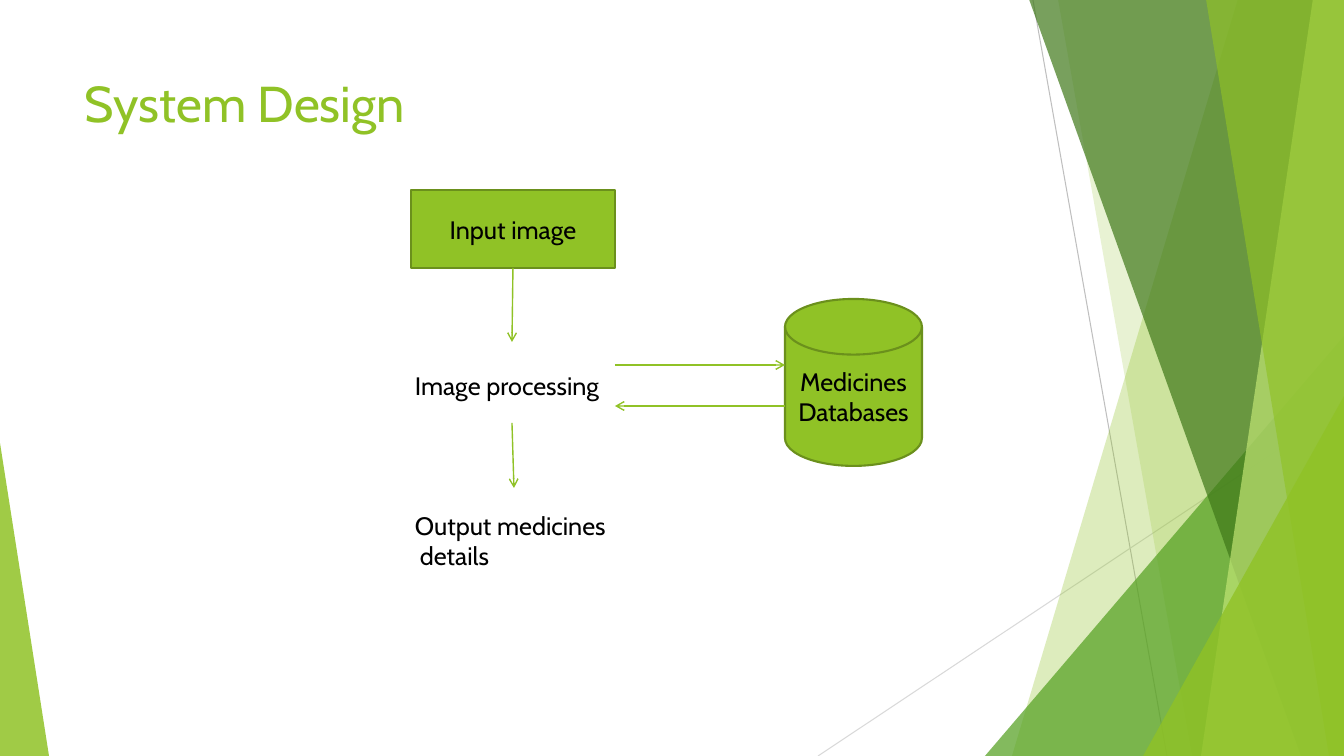
from pptx import Presentation
from pptx.dml.color import RGBColor
from pptx.enum.shapes import MSO_CONNECTOR, MSO_SHAPE
from pptx.enum.text import MSO_ANCHOR, PP_ALIGN
from pptx.oxml.ns import qn
from pptx.util import Pt
from lxml.etree import SubElement

EMU_PER_PX = 914400 / 100.8
WIDTH, HEIGHT = 1344, 756
FONT = "Cabin"
COLORS = {
    "lime": "90C226",
    "olive": "6B901C",
    "green": "54A021",
    "forest": "3F7819",
    "pale": "C0E474",
    "gray": "BFBFBF",
    "silver": "D9D9D9",
    "black": "000000",
}


def px(n):
    return round(n * EMU_PER_PX)


def rgb(name):
    return RGBColor.from_string(COLORS[name])


class Deck:
    def __init__(self):
        self.prs = Presentation()
        self.prs.slide_width, self.prs.slide_height = px(WIDTH), px(HEIGHT)
        self.s = self.prs.slides.add_slide(self.prs.slide_layouts[6])

    def fill(self, sp, color, alpha=100):
        """Fill a shape, with alpha as percent opacity."""
        sp.shadow.inherit = False
        sp.fill.solid()
        sp.fill.fore_color.rgb = rgb(color)
        if alpha < 100:
            clr = sp._element.spPr.find(qn("a:solidFill"))[0]
            SubElement(clr, qn("a:alpha"), val=str(alpha * 1000))

    def band(self, top_left, top_right, bottom_right, bottom_left, color, alpha):
        """Translucent strip from the top edge to the bottom edge."""
        top = -1
        fb = self.s.shapes.build_freeform(top_left, top, scale=EMU_PER_PX)
        fb.add_line_segments([(top_right, top), (bottom_right, HEIGHT), (bottom_left, HEIGHT)])
        sp = fb.convert_to_shape()
        self.fill(sp, color, alpha)
        sp.line.fill.background()

    def wedge(self, x, y, w, apex, color, alpha):
        """Translucent triangle standing on the bottom edge."""
        sp = self.s.shapes.add_shape(
            MSO_SHAPE.ISOSCELES_TRIANGLE, px(x), px(y), px(w), px(HEIGHT - y))
        sp.adjustments[0] = apex
        self.fill(sp, color, alpha)
        sp.line.fill.background()

    def add_lines(self, tf, lines, size, color, align, indents=()):
        """Put each line in its own paragraph, with optional left indents."""
        tf.word_wrap = True
        for i, line in enumerate(lines):
            p = tf.paragraphs[0] if i == 0 else tf.add_paragraph()
            p.alignment = align
            if i < len(indents):
                p._p.get_or_add_pPr().set("marL", str(px(indents[i])))
            r = p.add_run()
            r.text = line
            r.font.name, r.font.size = FONT, Pt(size)
            r.font.color.rgb = rgb(color)

    def node(self, kind, x, y, w, h, *lines):
        sp = self.s.shapes.add_shape(kind, px(x), px(y), px(w), px(h))
        self.fill(sp, "lime")
        sp.line.color.rgb = rgb("olive")
        sp.line.width = Pt(1.5)
        sp.text_frame.vertical_anchor = MSO_ANCHOR.MIDDLE
        self.add_lines(sp.text_frame, lines, 18, "black", PP_ALIGN.CENTER)
        return sp

    def text(self, x, y, w, h, *lines, size=18, color="black", indents=()):
        sp = self.s.shapes.add_textbox(px(x), px(y), px(w), px(h))
        self.add_lines(sp.text_frame, lines, size, color, PP_ALIGN.LEFT, indents)

    def line(self, x1, y1, x2, y2, color, width=0.75):
        c = self.s.shapes.add_connector(
            MSO_CONNECTOR.STRAIGHT, px(x1), px(y1), px(x2), px(y2))
        c.line.color.rgb = rgb(color)
        c.line.width = Pt(width)
        SubElement(c._element.spPr, qn("a:effectLst"))
        return c

    def arrow(self, x1, y1, x2, y2):
        c = self.line(x1, y1, x2, y2, "lime", 1)
        SubElement(c._element.spPr.find(qn("a:ln")), qn("a:tailEnd"), type="arrow")
        return c


def main():
    deck = Deck()

    # Decorative edges
    deck.line(1033, 0, 1167, HEIGHT, "gray")
    deck.line(WIDTH, 406, 818, HEIGHT, "silver")
    deck.band(1238, WIDTH, WIDTH, 1012, "lime", 30)
    deck.band(1058, WIDTH, WIDTH, 1192, "lime", 20)
    deck.wedge(985, 336, 359, 1, "green", 72)
    deck.band(1029, WIDTH, WIDTH, 1301, "forest", 70)
    deck.band(1313, WIDTH, WIDTH, 1201, "pale", 70)
    deck.band(1206, WIDTH, WIDTH, 1329, "lime", 65)
    deck.wedge(1143, 396, 201, 1, "lime", 80)
    deck.wedge(0, 443, 49, 0, "lime", 85)

    deck.text(75, 67, 948, 145, "System Design", size=36, color="lime")

    # Flow diagram
    input_box = deck.node(MSO_SHAPE.RECTANGLE, 411, 190, 204, 78, "Input image")
    deck.node(MSO_SHAPE.FLOWCHART_MAGNETIC_DISK, 785, 299, 137, 167,
              "Medicines", "Databases")
    deck.text(405, 365, 215, 40, "Image processing")
    deck.text(405, 505, 222, 72, "Output medicines", "details", indents=(0, 5))

    deck.arrow(513, 268, 512, 342).begin_connect(input_box, 2)
    deck.arrow(512, 423, 514, 488)
    deck.arrow(615, 365, 785, 365)
    deck.arrow(785, 406, 615, 406)

    deck.prs.save("out.pptx")


if __name__ == "__main__":
    main()
